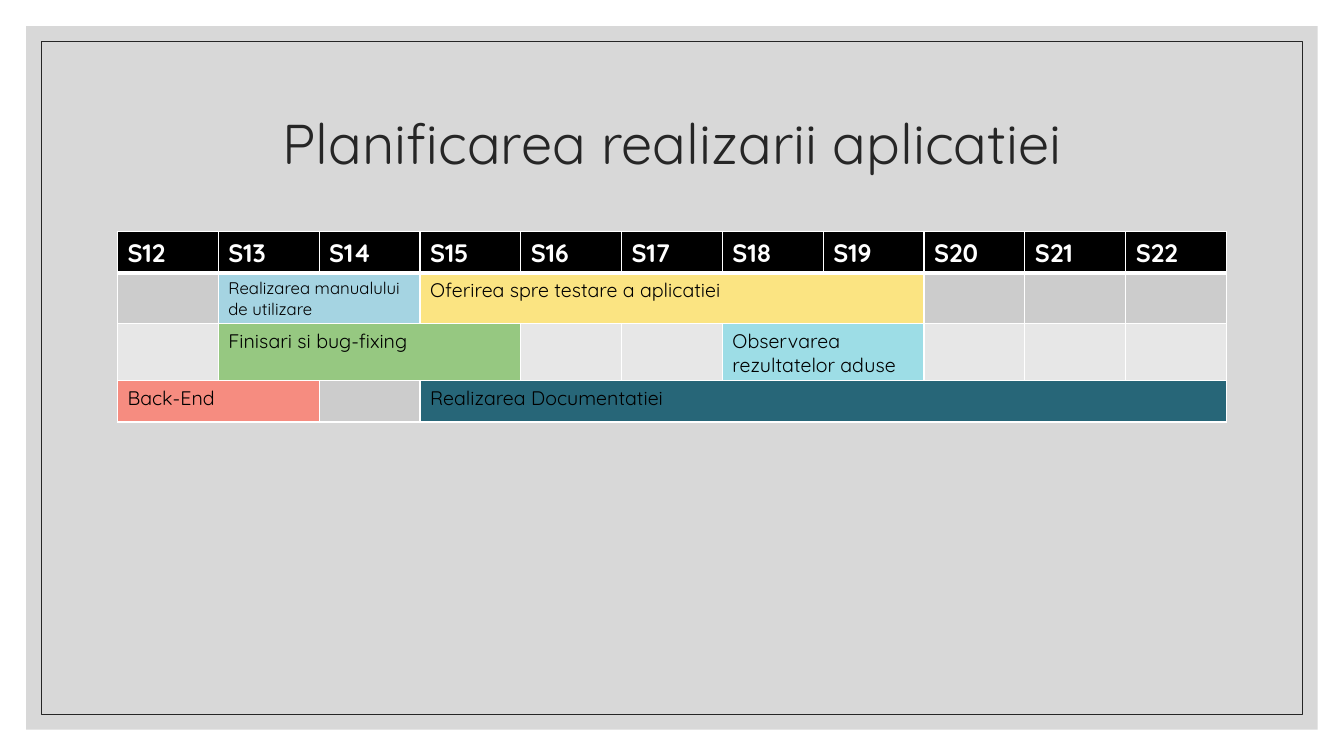
from lxml.etree import SubElement
from pptx import Presentation
from pptx.dml.color import RGBColor
from pptx.enum.shapes import MSO_SHAPE
from pptx.enum.text import MSO_ANCHOR, PP_ALIGN
from pptx.oxml import parse_xml
from pptx.oxml.ns import nsdecls, qn
from pptx.util import Inches, Pt

SLIDE_W, SLIDE_H = 13.33, 7.5
FONT = "Quicksand"
COLORS = {
    "white": "FFFFFF", "black": "000000", "ink": "262626", "panel": "BFBFBF",
    "band_dark": "CCCCCC", "band_light": "E7E7E7",
    "manual": "A5D4E2", "testing": "FBE482", "fixing": "96C881",
    "results": "9DDDE6", "backend": "F68C80", "docs": "276678",
}
WEEKS = [f"S{number}" for number in range(12, 23)]
ROW_HEIGHT = 0.41
TASK_ROWS = [
    ("band_dark", [
        ("S13", "S14", "Realizarea manualului de utilizare", "manual", 12),
        ("S15", "S19", "Oferirea spre testare a aplicatiei", "testing", 14)]),
    ("band_light", [
        ("S13", "S15", "Finisari si bug-fixing", "fixing", 14),
        ("S18", "S19", "Observarea rezultatelor aduse", "results", 14)]),
    ("band_dark", [
        ("S12", "S13", "Back-End", "backend", 14),
        ("S15", "S22", "Realizarea Documentatiei", "docs", 14)]),
]


def rgb(name):
    """Return the named palette colour."""
    return RGBColor.from_string(COLORS[name])


def style_text(paragraph, size, color, bold=False):
    """Format every run of a paragraph."""
    for run in paragraph.runs:
        run.font.name, run.font.size, run.font.bold = FONT, Pt(size), bold
        run.font.color.rgb = rgb(color)


def add_panel(slide, margin):
    """Add a rectangle inset from the slide's edges by a margin."""
    panel = slide.shapes.add_shape(
        MSO_SHAPE.RECTANGLE, Inches(margin), Inches(margin),
        Inches(SLIDE_W - 2 * margin), Inches(SLIDE_H - 2 * margin))
    panel.shadow.inherit = False
    return panel


def add_backdrop(slide):
    """Add the translucent grey panel and the thin frame inside it."""
    panel = add_panel(slide, 0.26)
    panel.fill.solid()
    panel.fill.fore_color.rgb = rgb("panel")
    panel.line.fill.background()
    tint = panel.fill._xPr.find(qn("a:solidFill"))[0]
    SubElement(tint, qn("a:alpha"), val="60000")

    frame = add_panel(slide, 0.41)
    frame.fill.background()
    frame.line.color.rgb = rgb("ink")
    frame.line.width = Pt(0.5)


def add_title(slide, left, top, width, height):
    """Add the centred heading in the given box."""
    heading = slide.shapes.add_textbox(
        Inches(left), Inches(top), Inches(width), Inches(height)).text_frame
    heading.word_wrap = True
    heading.vertical_anchor = MSO_ANCHOR.MIDDLE
    heading.text = "Planificarea realizarii aplicatiei"
    paragraph = heading.paragraphs[0]
    paragraph.alignment = PP_ALIGN.CENTER
    paragraph.line_spacing = 0.9
    style_text(paragraph, 40, "ink")


def paint_cell(cell, fill, top=1, bottom=1):
    """Fill a cell and draw its white borders with widths in points."""
    cell.fill.solid()
    cell.fill.fore_color.rgb = rgb(fill)
    properties = cell._tc.get_or_add_tcPr()
    widths = {"lnL": 1, "lnR": 1, "lnT": top, "lnB": bottom}
    for index, (side, width) in enumerate(widths.items()):
        properties.insert(index, parse_xml(
            f'<a:{side} {nsdecls("a")} w="{Pt(width)}"><a:solidFill>'
            f'<a:srgbClr val="{COLORS["white"]}"/></a:solidFill></a:{side}>'))


def write_cell(cell, text, size, color, bold=False):
    """Write formatted text into a cell."""
    cell.text_frame.text = text
    style_text(cell.text_frame.paragraphs[0], size, color, bold)


def add_schedule(slide, left, top, width):
    """Add the week-by-week plan with one merged bar per task."""
    row_count = len(TASK_ROWS) + 1
    schedule = slide.shapes.add_table(
        row_count, len(WEEKS), Inches(left), Inches(top),
        Inches(width), Inches(ROW_HEIGHT * row_count)).table
    for column in schedule.columns:
        column.width = Inches(width / len(WEEKS))
    for column, week in enumerate(WEEKS):
        header = schedule.cell(0, column)
        paint_cell(header, "black", bottom=3)
        write_cell(header, week, 18, "white", bold=True)

    for row, (band, tasks) in enumerate(TASK_ROWS, start=1):
        fills = [band] * len(WEEKS)
        for start, end, text, color, size in tasks:
            first, last = WEEKS.index(start), WEEKS.index(end)
            fills[first:last + 1] = [color] * (last - first + 1)
            bar = schedule.cell(row, first)
            bar.merge(schedule.cell(row, last))
            write_cell(bar, text, size, "black")
        for column, fill in enumerate(fills):
            paint_cell(schedule.cell(row, column), fill, top=3 if row == 1 else 1)


def main():
    """Build the planning slide and save it."""
    deck = Presentation()
    deck.slide_width, deck.slide_height = Inches(SLIDE_W), Inches(SLIDE_H)
    slide = deck.slides.add_slide(deck.slide_layouts[6])
    slide.background.fill.solid()
    slide.background.fill.fore_color.rgb = rgb("white")
    content_width = len(WEEKS)
    content_left = (SLIDE_W - content_width) / 2
    add_backdrop(slide)
    add_title(slide, content_left, 0.7, content_width, 1.5)
    add_schedule(slide, content_left, 2.3, content_width)
    deck.save("out.pptx")


if __name__ == "__main__":
    main()
